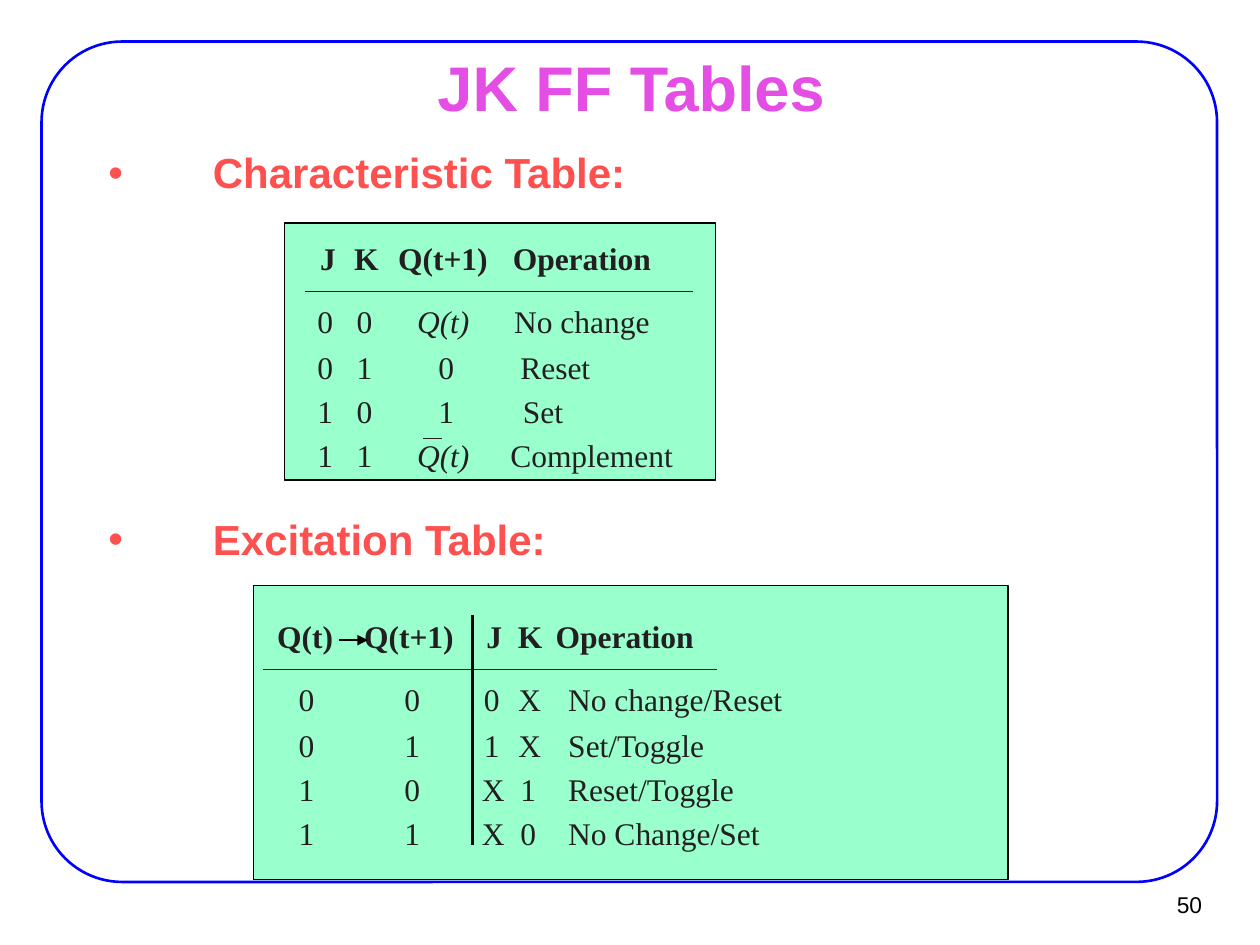
from lxml import etree
from pptx import Presentation
from pptx.dml.color import RGBColor
from pptx.enum.shapes import MSO_CONNECTOR, MSO_SHAPE
from pptx.enum.text import MSO_ANCHOR, MSO_AUTO_SIZE, PP_ALIGN
from pptx.oxml.ns import qn
from pptx.util import Inches, Pt

RECT, ROUNDED = MSO_SHAPE.RECTANGLE, MSO_SHAPE.ROUNDED_RECTANGLE
STRAIGHT = MSO_CONNECTOR.STRAIGHT
TOP, MIDDLE = MSO_ANCHOR.TOP, MSO_ANCHOR.MIDDLE
LEFT, CENTER, RIGHT = PP_ALIGN.LEFT, PP_ALIGN.CENTER, PP_ALIGN.RIGHT
FIT_SHAPE = MSO_AUTO_SIZE.SHAPE_TO_FIT_TEXT

MINT, INK, BLACK, CORAL = "99FFCC", "231F20", "000000", "FF5050"
ROW_OFFSETS = [0, 0.5, 0.86, 1.21, 1.56]
SYMBOL_WIDTHS = {"0": 0.14, "1": 0.14, "X": 0.17, "J": 0.1, "K": 0.18,
                 "Q(t)": 0.48, "Q(t+1)": 0.78}


def color(value):
    return RGBColor.from_string(value)


def add_box(slide, kind, x, y, w, h, fill=None, line=None, weight=0.75):
    sp = slide.shapes.add_shape(kind, Inches(x), Inches(y), Inches(w), Inches(h))
    sp.shadow.inherit = False
    if fill:
        sp.fill.solid()
        sp.fill.fore_color.rgb = color(fill)
    else:
        sp.fill.background()
    if line:
        sp.line.color.rgb = color(line)
        sp.line.width = Pt(weight)
    else:
        sp.line.fill.background()
    return sp


def set_text(sp, text, size, font, ink, bold=False, italic=False, align=LEFT,
             anchor=TOP, margins=(0, 0), wrap=True):
    tf = sp.text_frame
    tf.text = text
    tf.word_wrap = wrap
    tf.vertical_anchor = anchor
    tf.margin_left = tf.margin_right = Inches(margins[0])
    tf.margin_top = tf.margin_bottom = Inches(margins[1])
    p = tf.paragraphs[0]
    p.alignment = align
    f = p.runs[0].font
    f.size, f.name, f.bold, f.italic = Pt(size), font, bold, italic
    f.color.rgb = color(ink)
    return p


def add_text(slide, x, y, w, h, text, size, ink, **style):
    sp = slide.shapes.add_textbox(Inches(x), Inches(y), Inches(w), Inches(h))
    return set_text(sp, text, size, "Arial", ink, **style)


def add_heading(slide, y, text):
    p = add_text(slide, 0.75, y, 7.32, 0.76, text, 24, CORAL, bold=True,
                 margins=(0.11, 0.06))
    p.line_spacing = 0.9
    pPr = p._p.get_or_add_pPr()
    pPr.set("marL", str(Inches(0.83)))
    pPr.set("indent", str(-Inches(0.83)))
    bu_clr = etree.SubElement(pPr, qn("a:buClr"))
    etree.SubElement(bu_clr, qn("a:srgbClr"), val=CORAL)
    etree.SubElement(pPr, qn("a:buFont"), typeface="Arial")
    etree.SubElement(pPr, qn("a:buChar"), char="•")


def add_line(slide, x1, y1, x2, y2, ink, weight, arrow=False):
    line = slide.shapes.add_connector(STRAIGHT, Inches(x1), Inches(y1),
                                      Inches(x2), Inches(y2))
    line.line.color.rgb = color(ink)
    line.line.width = Pt(weight)
    if arrow:
        etree.SubElement(line.line._get_or_add_ln(), qn("a:tailEnd"), type="triangle")
    etree.SubElement(line._element.spPr, qn("a:effectLst"))


def add_label(slide, x, y, w, text, bold=False, italic=False, wrap=False):
    sp = add_box(slide, RECT, x, y, w, 0.3, fill=MINT)
    set_text(sp, text, 18, "Times New Roman", INK, bold, italic, wrap=wrap)
    sp.text_frame.auto_size = FIT_SHAPE


def add_symbol_columns(slide, top, columns):
    """Each column is (centre, symbols from the header down)."""
    for center, symbols in columns:
        for i, (offset, text) in enumerate(zip(ROW_OFFSETS, symbols)):
            w = SYMBOL_WIDTHS[text]
            add_label(slide, center - w / 2, top + offset, w, text,
                      bold=i == 0, italic=i > 0 and text == "Q(t)")


def add_operations(slide, top, operations, wrap=False):
    """Each operation is (left, width, text), header first."""
    for i, (offset, (x, w, text)) in enumerate(zip(ROW_OFFSETS, operations)):
        add_label(slide, x, top + offset, w, text, bold=i == 0, wrap=wrap and i > 0)


def add_characteristic_table(slide):
    top = 1.9
    add_box(slide, RECT, 2.26, 1.77, 3.42, 2.04, MINT, BLACK)
    add_line(slide, 2.42, 2.31, 5.5, 2.31, INK, 0.5)
    add_symbol_columns(slide, top, [
        (2.59, "J0011"),
        (2.9, "K0101"),
        (3.55, ["Q(t+1)", "Q(t)", "0", "1", "Q(t)"]),
    ])
    add_operations(slide, top, [
        (4.07, 1.29, "Operation"), (4.08, 1.25, "No change"), (4.13, 0.63, "Reset"),
        (4.15, 0.36, "Set"), (4.05, 1.52, "Complement"),
    ])
    # Overbar of the complemented state
    add_line(slide, 3.36, 3.48, 3.51, 3.48, INK, 0.5)


def add_excitation_table(slide):
    top = 4.9
    add_box(slide, RECT, 2.01, 4.65, 5.99, 2.33, MINT, BLACK)
    add_line(slide, 2.09, 5.31, 5.69, 5.31, INK, 0.5)
    add_symbol_columns(slide, top, [
        (2.44, ["Q(t)", *"0011"]),
        (3.28, ["Q(t+1)", *"0101"]),
        (3.91, "J01XX"),
        (4.2, "KXX10"),
    ])
    add_operations(slide, top, [
        (4.41, 1.29, "Operation"), (4.51, 2.86, "No change/Reset"),
        (4.51, 1.52, "Set/Toggle"), (4.51, 1.83, "Reset/Toggle"),
        (4.51, 2.7, "No Change/Set"),
    ], wrap=True)
    # Column divider and state transition arrow
    add_line(slide, 3.75, 4.88, 3.75, 6.71, BLACK, 1.5)
    add_line(slide, 2.69, 5.08, 2.92, 5.08, BLACK, 0.75, arrow=True)


def main():
    prs = Presentation()
    prs.slide_width, prs.slide_height = Inches(10), Inches(7.5)
    slide = prs.slides.add_slide(prs.slide_layouts[6])

    # Frame, page number and title
    frame = add_box(slide, ROUNDED, 0.33, 0.33, 9.33, 6.67, line="0000FF", weight=1.5)
    frame.adjustments[0] = 0.096
    add_text(slide, 9.02, 6.99, 0.61, 0.37, "50", 13, BLACK, align=RIGHT,
             anchor=MIDDLE, margins=(0.09, 0.04), wrap=False)
    add_text(slide, 0.76, 0.44, 8.5, 0.49, "JK FF Tables", 36, "E44EE4", bold=True,
             align=CENTER, anchor=MIDDLE, margins=(0.11, 0.06))

    # Tables and their headings
    add_excitation_table(slide)
    add_characteristic_table(slide)
    add_heading(slide, 1.15, "Characteristic Table:")
    add_heading(slide, 4.06, "Excitation Table:")

    prs.save("out.pptx")


if __name__ == "__main__":
    main()
